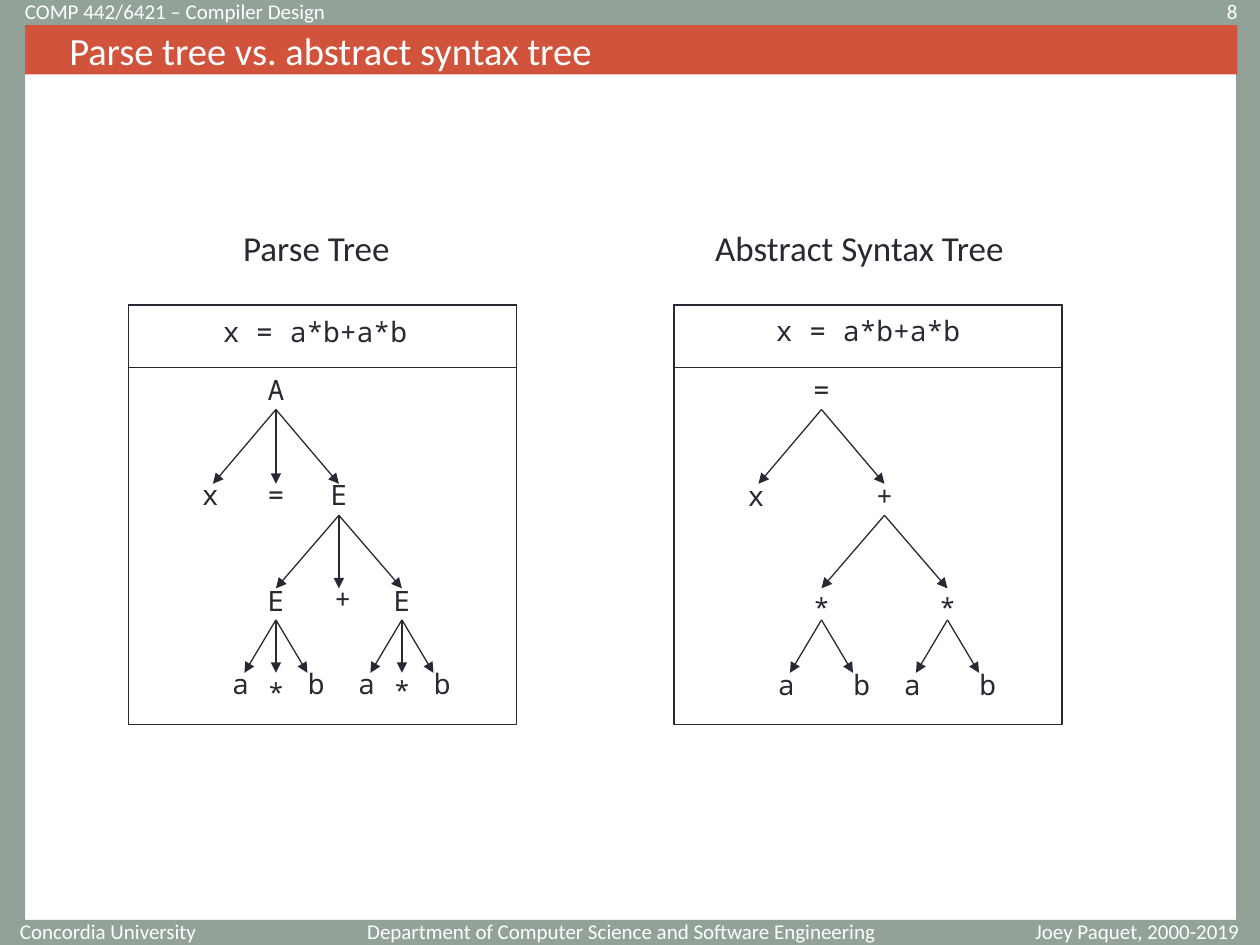
import pptx
import pptx.dml.color
import pptx.enum.shapes
import pptx.enum.text
import pptx.oxml
import pptx.oxml.ns
import pptx.util

RGBColor = pptx.dml.color.RGBColor
ALIGN = pptx.enum.text.PP_ALIGN
SAGE = RGBColor(0x93, 0xA2, 0x99)
RED = RGBColor(0xD2, 0x53, 0x3C)
INK = RGBColor(0x29, 0x29, 0x34)
WHITE = RGBColor(0xFF, 0xFF, 0xFF)

COLUMNS, ROWS = 100, 75
PANEL_WIDTH, PANEL_HEIGHT, HEADER_HEIGHT, PANEL_TOP = 30.8, 33.3, 5, 24.2
ROOT_OFFSET = 11.7
LABEL_WIDTH, LABEL_HEIGHT = 3.3, 3.7
LEVELS = [(32.5, 38.4), (40.9, 46.7), (49.2, 53.4)]

PARSE_BRANCHES = [(0, 0, (-5, 0, 5)), (5, 1, (-5, 0, 5)),
                  (0, 2, (-2.5, 0, 2.5)), (10, 2, (-2.5, 0, 2.5))]
PARSE_NODES = [("A", 0, 29.1), ("x", -5.2, 37.4), ("=", 0, 37.4), ("E", 5, 37.4),
               ("E", 0, 45.8), ("+", 5.3, 45.7), ("E", 10, 45.8),
               ("a", -2.8, 52.4), ("*", 0, 53.1), ("b", 3.2, 52.4),
               ("a", 7.2, 52.4), ("*", 10, 53), ("b", 13.2, 52.4)]
SYNTAX_BRANCHES = [(0, 0, (-5, 5)), (5, 1, (-5, 5)),
                   (0, 2, (-2.5, 2.5)), (10, 2, (-2.5, 2.5))]
SYNTAX_NODES = [("=", 0, 29.1), ("x", -5.2, 37.5), ("+", 5, 37.5),
                ("*", 0, 46.4), ("*", 10, 46.4),
                ("a", -2.8, 52.5), ("b", 3.2, 52.5),
                ("a", 7.2, 52.5), ("b", 13.2, 52.5)]


class TreeSlide:
    """Draw boxes, text, arrows and trees on a slide divided into grid cells."""

    body_font = "Calibri"
    code_font = "Noto Sans Mono"
    line_width = pptx.util.Pt(0.75)

    def __init__(self, presentation):
        self.slide = presentation.slides.add_slide(presentation.slide_layouts[6])
        self.column = presentation.slide_width / COLUMNS
        self.row = presentation.slide_height / ROWS

    def place(self, *lengths):
        units = (self.column, self.row) * 2
        return [round(length * unit) for length, unit in zip(lengths, units)]

    def box(self, bounds, fill=None, line=None):
        shape = self.slide.shapes.add_shape(
            pptx.enum.shapes.MSO_SHAPE.RECTANGLE, *self.place(*bounds))
        shape.shadow.inherit = False
        if fill is None:
            shape.fill.background()
        else:
            shape.fill.solid()
            shape.fill.fore_color.rgb = fill
        if line is None:
            shape.line.fill.background()
        else:
            shape.line.color.rgb = line
            shape.line.width = self.line_width
        return shape

    def add_text(self, shape, text, size, color, align, font=body_font):
        paragraph = shape.text_frame.paragraphs[0]
        paragraph.alignment = align
        run = paragraph.add_run()
        run.text = text
        run.font.name = font
        run.font.size = pptx.util.Pt(size)
        run.font.color.rgb = color

    def margin_note(self, bounds, text, align):
        shape = self.slide.shapes.add_textbox(*self.place(*bounds))
        shape.text_frame.word_wrap = True
        shape.text_frame.vertical_anchor = pptx.enum.text.MSO_ANCHOR.MIDDLE
        self.add_text(shape, text, 12, WHITE, align)

    def title(self, bounds, text):
        shape = self.box(bounds, fill=RED)
        shape.text_frame.margin_left = round(3.5 * self.column)
        shape.text_frame.vertical_anchor = pptx.enum.text.MSO_ANCHOR.MIDDLE
        self.add_text(shape, text, 22, WHITE, ALIGN.LEFT)

    def label(self, bounds, text, size=16, align=ALIGN.RIGHT, font=code_font):
        shape = self.slide.shapes.add_textbox(*self.place(*bounds))
        shape.text_frame.word_wrap = False
        shape.text_frame.auto_size = pptx.enum.text.MSO_AUTO_SIZE.SHAPE_TO_FIT_TEXT
        self.add_text(shape, text, size, INK, align, font)

    def arrow(self, start, end):
        connector = self.slide.shapes.add_connector(
            pptx.enum.shapes.MSO_CONNECTOR.STRAIGHT, *self.place(*start, *end))
        connector.line.color.rgb = INK
        connector.line.width = self.line_width
        namespace = pptx.oxml.ns.nsdecls("a")
        properties = connector.element.spPr
        properties.find(pptx.oxml.ns.qn("a:ln")).append(
            pptx.oxml.parse_xml(f'<a:tailEnd {namespace} type="triangle"/>'))
        properties.append(pptx.oxml.parse_xml(f"<a:effectLst {namespace}/>"))

    def panel(self, left, heading, heading_bounds, formula_bounds, branches, nodes):
        self.label(heading_bounds, heading, 20, ALIGN.CENTER, self.body_font)
        for height in (HEADER_HEIGHT, PANEL_HEIGHT):
            self.box((left, PANEL_TOP, PANEL_WIDTH, height), line=INK)
        self.label(formula_bounds, "x = a*b+a*b")
        root = left + ROOT_OFFSET
        for offset, level, spread in branches:
            top, bottom = LEVELS[level]
            for step in spread:
                self.arrow((root + offset, top), (root + offset + step, bottom))
        for text, offset, top in nodes:
            bounds = (root + offset - LABEL_WIDTH / 2, top, LABEL_WIDTH, LABEL_HEIGHT)
            self.label(bounds, text)


def main():
    presentation = pptx.Presentation()
    presentation.slide_width = pptx.util.Inches(10)
    presentation.slide_height = pptx.util.Inches(7.5)
    page = TreeSlide(presentation)

    for bounds in ((0, 0, 100, 2), (0, 73, 100, 2), (0, 0, 2, 75), (98.1, 0, 1.9, 75)):
        page.box(bounds, fill=SAGE)
    page.title((2, 2, 96.2, 3.9), "Parse tree vs. abstract syntax tree")

    for bounds, text, align in (
        ((0.6, 73.3, 16.7, 1.2), "Concordia University", ALIGN.LEFT),
        ((28, 73.3, 42.5, 1.2),
         "Department of Computer Science and Software Engineering", ALIGN.RIGHT),
        ((79.9, 73.3, 20.7, 1.2), "Joey Paquet, 2000-2019", ALIGN.CENTER),
        ((87.5, 0.3, 11.7, 1.2), "8", ALIGN.RIGHT),
        ((1, 0.3, 56, 1.2), "COMP 442/6421 – Compiler Design", ALIGN.LEFT),
    ):
        page.margin_note(bounds, text, align)

    page.panel(10.2, "Parse Tree", (17.2, 17.5, 15.8, 4.4),
               (16.6, 24.5, 16.7, 3.7), PARSE_BRANCHES, PARSE_NODES)
    page.panel(53.5, "Abstract Syntax Tree", (53.8, 17.5, 28.8, 4.4),
               (60.5, 24.4, 16.7, 3.7), SYNTAX_BRANCHES, SYNTAX_NODES)
    presentation.save("out.pptx")


if __name__ == "__main__":
    main()
